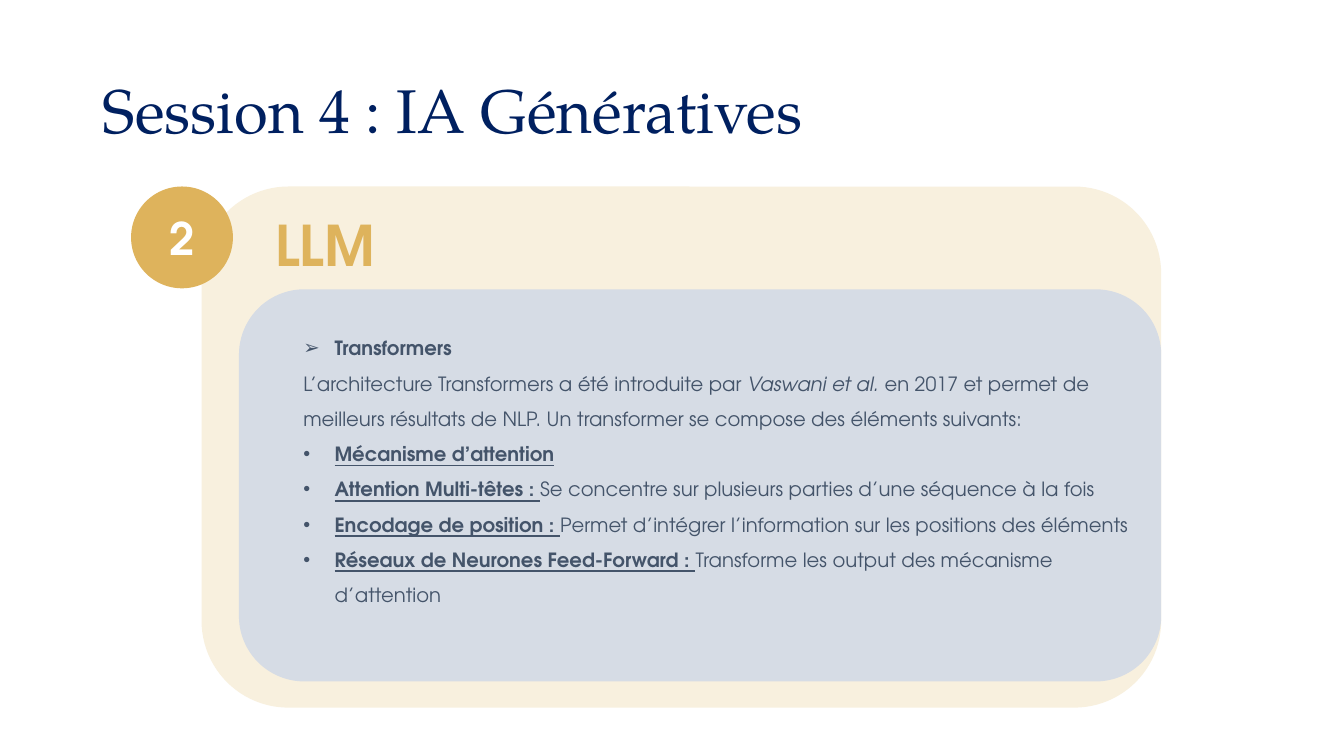
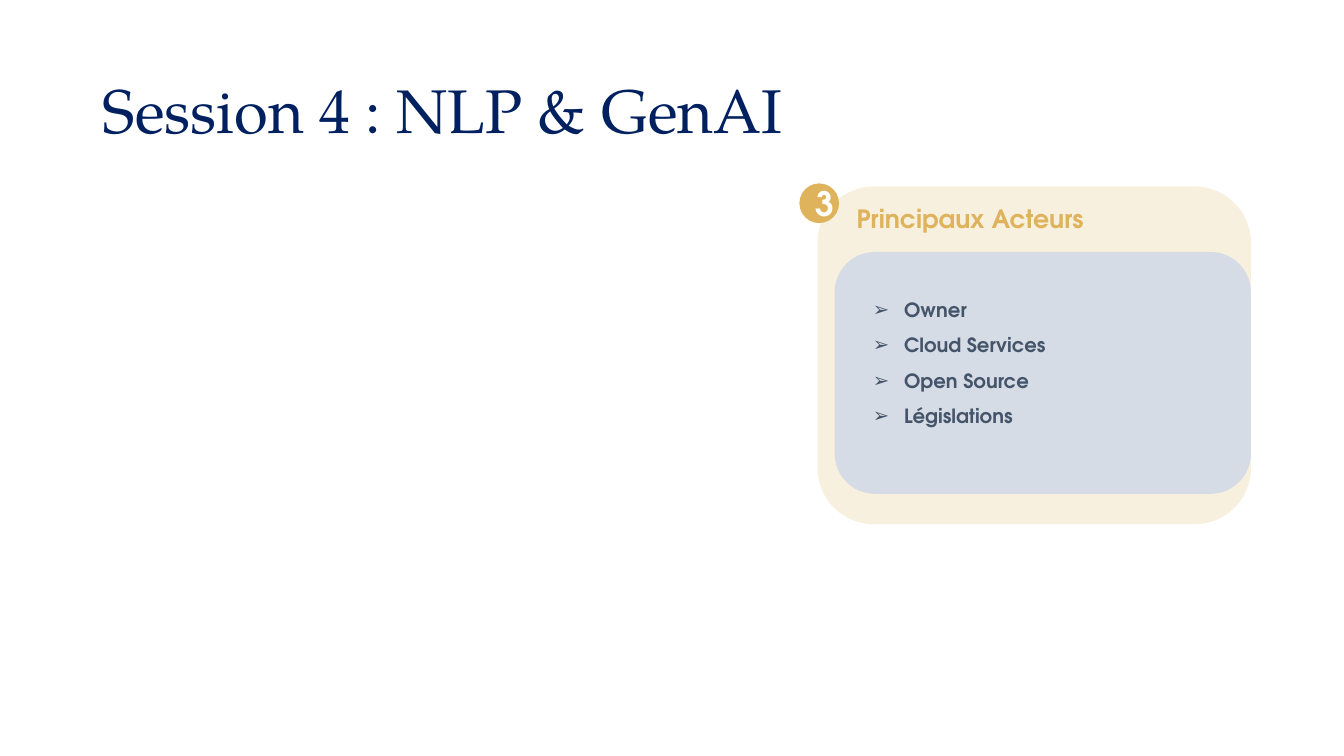
from lxml.etree import SubElement
from pptx import Presentation
from pptx.dml.color import RGBColor
from pptx.enum.shapes import MSO_SHAPE
from pptx.enum.text import MSO_ANCHOR, PP_ALIGN
from pptx.oxml.ns import qn
from pptx.util import Inches, Pt

WIDTH, HEIGHT = Inches(13.333), Inches(7.5)
NAVY, GOLD, CREAM = "002060", "DEB35C", "F8F0DE"
MIST, SLATE, WHITE = "D6DCE5", "44546A", "FFFFFF"
SERIF, SANS = "TeX Gyre Pagella", "TeX Gyre Adventor"
BULLET_INDENT = Inches(0.31)
CARD_TOP = 24.67
ARROW, DOT = "➢", "•"
PLAIN, BOLD, ITALIC, TERM = "", "b", "i", "bu"

LLM_POINTS = [
    (ARROW, [("Transformers", BOLD)]),
    (None, [
        ("L’architecture Transformers a été introduite par ", PLAIN),
        ("Vaswani et al. ", ITALIC),
        ("en 2017 et permet de meilleurs résultats de NLP. "
         "Un transformer se compose des éléments suivants:", PLAIN),
    ]),
    (DOT, [("Mécanisme d’attention", TERM)]),
    (DOT, [("Attention Multi-têtes : ", TERM),
           ("Se concentre sur plusieurs parties d’une séquence à la fois", PLAIN)]),
    (DOT, [("Encodage de position : ", TERM),
           ("Permet d’intégrer l’information sur les positions des éléments", PLAIN)]),
    (DOT, [("Réseaux de Neurones Feed-Forward : ", TERM),
           ("Transforme les output des mécanisme d’attention", PLAIN)]),
]
ACTOR_POINTS = [(ARROW, [(actor, BOLD)]) for actor in
                ("Owner", "Cloud Services", "Open Source", "Législations")]


def color(hex_code):
    """Turn a hex string into a colour."""
    return RGBColor.from_string(hex_code)


def place(left, top, width, height):
    """Turn percentages of the slide's size into lengths."""
    return [round(share * size / 100) for share, size in
            zip((left, top, width, height), (WIDTH, HEIGHT, WIDTH, HEIGHT))]


def set_font(paragraph, face, size, hex_code, bold=None):
    """Give a whole paragraph one font."""
    font = paragraph.font
    font.name, font.size, font.bold = face, Pt(size), bold
    font.color.rgb = color(hex_code)


def add_panel(slide, preset, area, hex_code):
    """Add a flat filled shape without outline."""
    panel = slide.shapes.add_shape(preset, *place(*area))
    panel.shadow.inherit = False
    panel.fill.solid()
    panel.fill.fore_color.rgb = color(hex_code)
    panel.line.fill.background()
    return panel


def add_text(slide, area):
    """Add a wrapping text box and return its frame."""
    frame = slide.shapes.add_textbox(*place(*area)).text_frame
    frame.word_wrap = True
    return frame


def add_title(slide, title):
    """Add the slide title."""
    frame = add_text(slide, (6.9, 5.33, 86.25, 19.33))
    frame.vertical_anchor = MSO_ANCHOR.MIDDLE
    line = frame.paragraphs[0]
    line.text = title
    line.line_spacing = 0.9
    set_font(line, SERIF, 44, NAVY)


def add_badge(slide, area, number, size):
    """Add the round section number."""
    frame = add_panel(slide, MSO_SHAPE.OVAL, area, GOLD).text_frame
    frame.vertical_anchor = MSO_ANCHOR.MIDDLE
    line = frame.paragraphs[0]
    line.text = number
    line.alignment = PP_ALIGN.CENTER
    set_font(line, SANS, size, WHITE, True)


def add_heading(slide, area, heading, size):
    """Add the gold section heading."""
    line = add_text(slide, area).paragraphs[0]
    line.text = heading
    set_font(line, SANS, size, GOLD, True)


def add_bullet(paragraph, mark):
    """Give a paragraph a hanging bullet."""
    properties = paragraph._p.get_or_add_pPr()
    properties.set("marL", str(BULLET_INDENT))
    properties.set("indent", str(-BULLET_INDENT))
    SubElement(properties, qn("a:buFont")).set("typeface", "Arial")
    SubElement(properties, qn("a:buChar")).set("char", mark)


def add_points(slide, area, points):
    """Add the section's paragraphs with their bullets and emphasis."""
    frame = add_text(slide, area)
    for index, (mark, pieces) in enumerate(points):
        point = frame.add_paragraph() if index else frame.paragraphs[0]
        point.line_spacing = 1.5
        if mark:
            add_bullet(point, mark)
        set_font(point, SANS, 14, SLATE)
        for wording, style in pieces:
            piece = point.add_run()
            piece.text = wording
            piece.font.bold = "b" in style
            piece.font.italic = "i" in style
            piece.font.underline = "u" in style


def add_cards(slide, left, width, height, inner_left, inner_top, inner_height):
    """Add the cream card and the inner card that shares its right edge."""
    inner_width = left + width - inner_left
    add_panel(slide, MSO_SHAPE.ROUNDED_RECTANGLE,
              (left, CARD_TOP, width, height), CREAM)
    add_panel(slide, MSO_SHAPE.ROUNDED_RECTANGLE,
              (inner_left, inner_top, inner_width, inner_height), MIST)


def add_slide(deck, title):
    """Add a blank slide with its title."""
    slide = deck.slides.add_slide(deck.slide_layouts[6])
    add_title(slide, title)
    return slide


def main():
    """Build and save the deck."""
    deck = Presentation()
    deck.slide_width, deck.slide_height = WIDTH, HEIGHT

    llm = add_slide(deck, "Session 4 : IA Génératives")
    add_cards(llm, 15, 71.4, 68.93, 17.78, 38.27, 51.87)
    add_badge(llm, (9.75, CARD_TOP, 7.58, 13.47), "2", 32)
    add_heading(llm, (19.73, 27.2, 18.4, 10.27), "LLM", 40)
    add_points(llm, (21.83, 42.27, 62.95, 38.4), LLM_POINTS)

    actors = add_slide(deck, "Session 4 : NLP & GenAI")
    add_cards(actors, 60.83, 32.25, 44.67, 62.1, 33.33, 32)
    add_badge(actors, (59.48, 24.27, 2.95, 5.25), "3", 24)
    add_heading(actors, (63, 26.27, 20, 5.33), "Principaux Acteurs", 18)
    add_points(actors, (64.2, 37.2, 23.33, 19.6), ACTOR_POINTS)

    deck.save("out.pptx")


if __name__ == "__main__":
    main()
